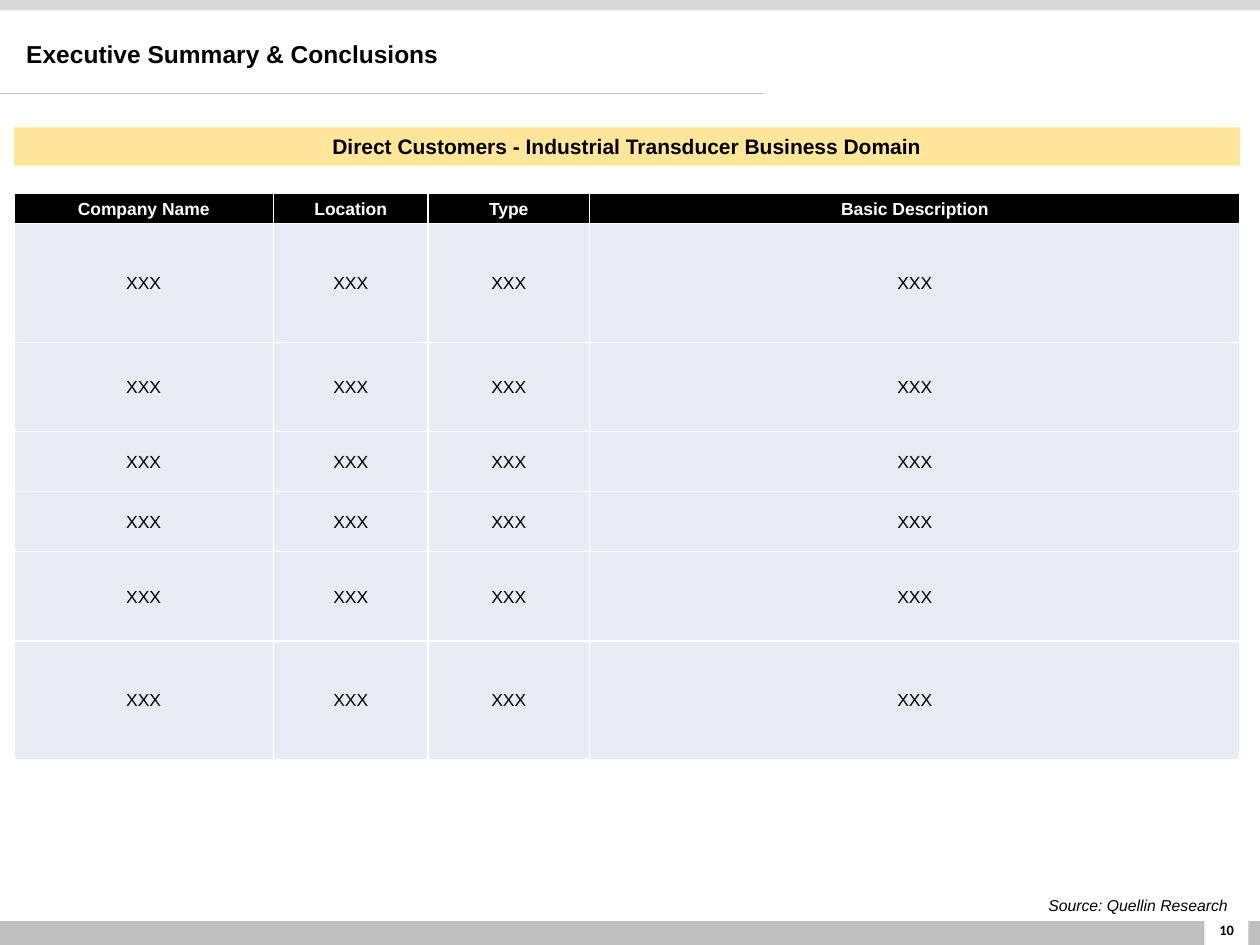
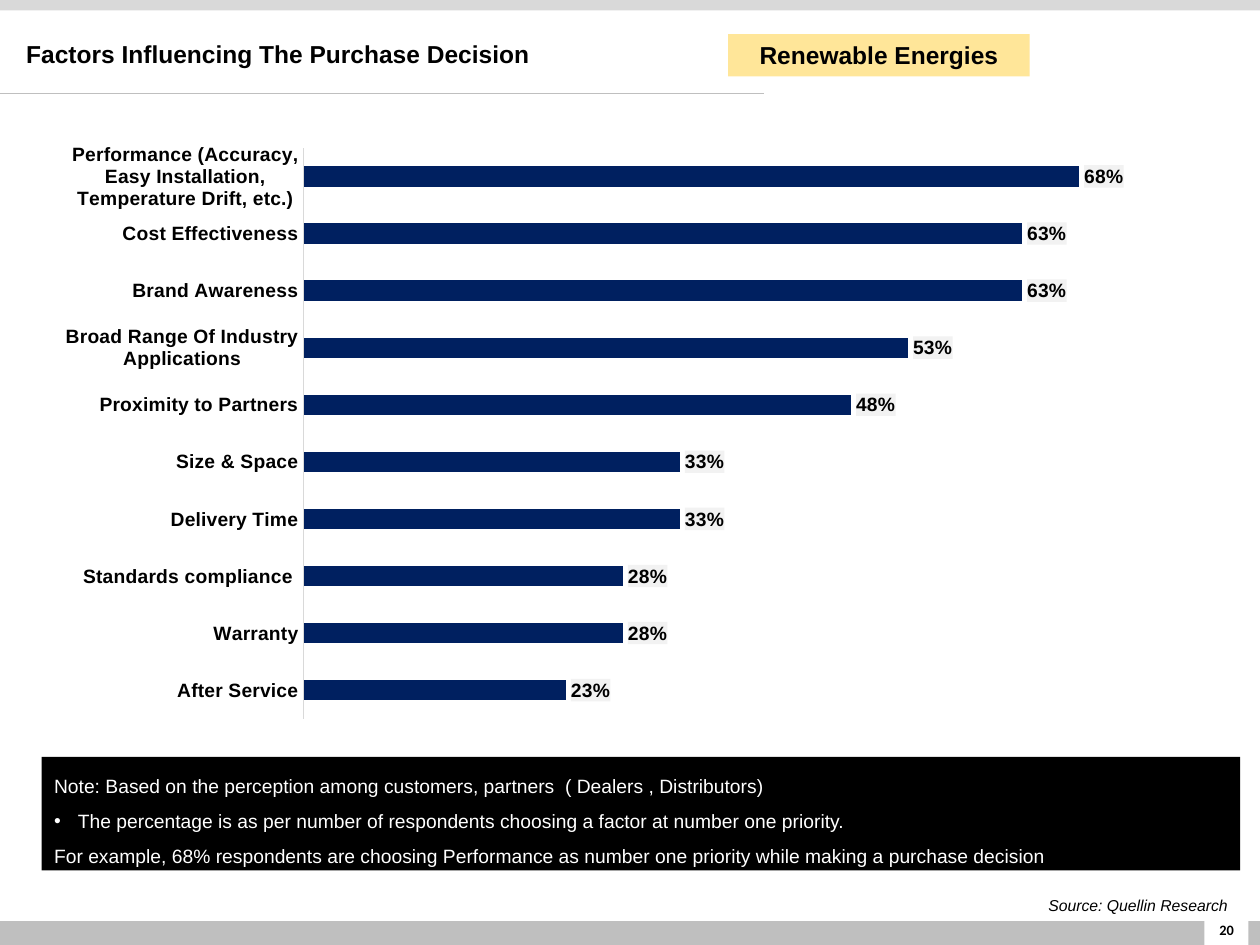
from lxml import etree
from pptx import Presentation
from pptx import util as u
from pptx.chart import data as chart_data
from pptx.dml import color
from pptx.enum import chart as chart_enum
from pptx.enum import shapes, text
from pptx.oxml import ns

ALIGN = text.PP_ALIGN
ANCHOR = text.MSO_ANCHOR

BLACK = "000000"
WHITE = "FFFFFF"
GREY = "BFBFBF"
LIGHT_GREY = "D9D9D9"
LABEL_GREY = "F2F2F2"
YELLOW = "FFE699"
NAVY = "002060"
CELL_BLUE = "E9EBF5"

PAGE = (0, 0, 25.4, 19.05)
LEFT = 0.28
RIGHT = 25

HEADINGS = ["Company Name", "Location", "Type", "Basic Description"]
COLUMN_WIDTHS = [5.23, 3.12, 3.25, 13.12]
ROW_HEIGHTS = [0.62, 2.39, 1.8, 1.21, 1.21, 1.8, 2.39]

FACTORS = [
    ("After Service", 0.23),
    ("Warranty", 0.28),
    ("Standards compliance ", 0.28),
    ("Delivery Time", 0.33),
    ("Size & Space", 0.33),
    ("Proximity to Partners", 0.48),
    ("Broad Range Of Industry Applications", 0.53),
    ("Brand Awareness", 0.63),
    ("Cost Effectiveness", 0.63),
    ("Performance (Accuracy, Easy Installation, Temperature Drift, etc.)", 0.68),
]

NOTE_LINES = [
    "Note: Based on the perception among customers, partners  ( Dealers , Distributors)",
    "The percentage is as per number of respondents choosing a factor at number one priority.",
    "For example, 68% respondents are choosing Performance as number one priority "
    "while making a purchase decision",
]
BULLET_LINE = 1


def rgb(hex_string):
    return color.RGBColor.from_string(hex_string)


def lengths(box):
    return [u.Cm(value) for value in box]


def add_child(parent, tag, **attributes):
    return etree.SubElement(parent, ns.qn(tag), attributes)


def add_solid_fill(parent, hex_string):
    add_child(add_child(parent, "a:solidFill"), "a:srgbClr", val=hex_string)


def style_font(font, size, hex_string=BLACK, bold=False, italic=False, name="Arial"):
    font.size = u.Pt(size)
    font.name = name
    font.bold = bold
    font.italic = italic
    font.color.rgb = rgb(hex_string)


def write(text_frame, content, size, align=ALIGN.LEFT, anchor=ANCHOR.TOP, **font_options):
    text_frame.text = content
    text_frame.word_wrap = True
    text_frame.vertical_anchor = anchor
    for paragraph in text_frame.paragraphs:
        paragraph.alignment = align
        for run in paragraph.runs:
            style_font(run.font, size, **font_options)


def add_band(slide, box, fill):
    band = slide.shapes.add_shape(shapes.MSO_SHAPE.RECTANGLE, *lengths(box))
    band.shadow.inherit = False
    band.fill.solid()
    band.fill.fore_color.rgb = rgb(fill)
    band.line.fill.background()
    return band


def add_text(slide, box, content, size, **options):
    text_box = slide.shapes.add_textbox(*lengths(box))
    write(text_box.text_frame, content, size, **options)
    return text_box


def add_banner(slide, box, content, size):
    banner = add_band(slide, box, YELLOW)
    write(banner.text_frame, content, size, align=ALIGN.CENTER, bold=True)


def add_header(slide, box, title):
    left, top, width, height = box
    add_band(slide, (left, top, width, 0.21), LIGHT_GREY)
    rule_top = u.Cm(top + height)
    rule = slide.shapes.add_connector(
        shapes.MSO_CONNECTOR.STRAIGHT, u.Cm(left), rule_top, u.Cm(left + 15.41), rule_top
    )
    rule.line.color.rgb = rgb(GREY)
    rule.line.width = u.Pt(0.5)
    add_child(rule._element.spPr, "a:effectLst")
    title_box = add_text(
        slide, (left + LEFT, top + 0.63, 17.6, 0.97), title, 14, anchor=ANCHOR.MIDDLE, bold=True
    )
    title_box.text_frame.paragraphs[0].line_spacing = 0.9


def add_footer(slide, box, number):
    left, top, width, height = box
    add_band(slide, (left, top + height - 0.48, width, 0.48), GREY)
    add_band(slide, (left + 24.28, top + 0.2, 0.89, height - 0.2), WHITE)
    number_box = add_text(
        slide, (left + 24.11, top + 0.33, 1.24, 1.02), str(number), 8.2,
        align=ALIGN.CENTER, anchor=ANCHOR.MIDDLE, bold=True, name="Calibri",
    )
    frame = number_box.text_frame
    frame.margin_left = frame.margin_right = u.Cm(0.18)
    frame.margin_top = frame.margin_bottom = u.Cm(0.1)
    source = add_text(
        slide, (left + 15.3, top, 9.7, 0.64), "Source: Quellin Research", 9,
        align=ALIGN.RIGHT, italic=True,
    )
    paragraph = source.text_frame.paragraphs[0]
    paragraph.line_spacing = 1.07
    paragraph.space_after = u.Pt(6)


def add_page(presentation, title, number):
    slide = presentation.slides.add_slide(presentation.slide_layouts[6])
    left, top, width, height = PAGE
    add_header(slide, (left, top, width, 1.88), title)
    add_footer(slide, (left, height - 1.14, width, 1.14), number)
    return slide


def style_cell(cell, content, fill, font_color, bold):
    write(
        cell.text_frame, content, 10, align=ALIGN.CENTER, hex_string=font_color, bold=bold
    )
    cell.vertical_anchor = ANCHOR.MIDDLE
    cell.margin_left = cell.margin_right = cell.margin_top = u.Cm(0.03)
    cell.margin_bottom = 0
    properties = cell._tc.get_or_add_tcPr()
    for side in ("L", "R", "T", "B"):
        add_solid_fill(add_child(properties, f"a:ln{side}", w=str(u.Pt(1))), WHITE)
    cell.fill.solid()
    cell.fill.fore_color.rgb = rgb(fill)


def add_customer_table(slide, box):
    frame = slide.shapes.add_table(len(ROW_HEIGHTS), len(HEADINGS), *lengths(box))
    table = frame.table
    table.horz_banding = False
    for column, width in zip(table.columns, COLUMN_WIDTHS):
        column.width = u.Cm(width)
    for row_index, (row, height) in enumerate(zip(table.rows, ROW_HEIGHTS)):
        row.height = u.Cm(height)
        for cell, heading in zip(row.cells, HEADINGS):
            if row_index == 0:
                style_cell(cell, heading, BLACK, WHITE, True)
            else:
                style_cell(cell, "XXX", CELL_BLUE, BLACK, False)


def add_factor_chart(slide, box):
    data = chart_data.CategoryChartData(number_format="0%")
    data.categories = [name for name, share in FACTORS]
    data.add_series("Series 1", [share for name, share in FACTORS])
    frame = slide.shapes.add_chart(
        chart_enum.XL_CHART_TYPE.BAR_CLUSTERED, *lengths(box), data
    )
    chart = frame.chart
    chart.has_legend = False
    chart.has_title = False
    style_font(chart.font, 10, name="Calibri")

    factor_axis = chart.category_axis
    factor_axis.major_tick_mark = chart_enum.XL_TICK_MARK.NONE
    factor_axis.format.line.color.rgb = rgb(LIGHT_GREY)
    factor_axis.format.line.width = u.Pt(0.75)
    style_font(factor_axis.tick_labels.font, 11, bold=True)

    share_axis = chart.value_axis
    share_axis.minimum_scale = 0
    share_axis.maximum_scale = 0.8
    share_axis.has_major_gridlines = False
    share_axis.visible = False

    plot = chart.plots[0]
    plot.gap_width = 182
    plot.vary_by_categories = False
    series = plot.series[0]
    series.format.fill.solid()
    series.format.fill.fore_color.rgb = rgb(NAVY)

    labels = series.data_labels
    labels.show_value = True
    labels.number_format = "0%"
    labels.number_format_is_linked = False
    labels.position = chart_enum.XL_LABEL_POSITION.OUTSIDE_END
    style_font(labels.font, 11, bold=True)
    label_shape = etree.Element(ns.qn("c:spPr"))
    add_solid_fill(label_shape, LABEL_GREY)
    labels._element.find(ns.qn("c:numFmt")).addnext(label_shape)


def add_note(slide, box):
    note = add_band(slide, box, BLACK)
    write(note.text_frame, "\n".join(NOTE_LINES), 11, hex_string=WHITE)
    for paragraph in note.text_frame.paragraphs:
        paragraph.line_spacing = 1.5
    properties = note.text_frame.paragraphs[BULLET_LINE]._p.get_or_add_pPr()
    indent = u.Cm(0.48)
    properties.set("marL", str(indent))
    properties.set("indent", str(-indent))
    add_child(properties, "a:buFont", typeface="Arial")
    add_child(properties, "a:buChar", char="•")


def build_customers_slide(presentation):
    slide = add_page(presentation, "Executive Summary & Conclusions", 10)
    width = RIGHT - LEFT
    add_customer_table(slide, (LEFT, 3.89, width, sum(ROW_HEIGHTS)))
    add_banner(
        slide, (LEFT, 2.57, width, 0.77),
        "Direct Customers - Industrial Transducer Business Domain", 12,
    )


def build_factors_slide(presentation):
    slide = add_page(presentation, "Factors Influencing The Purchase Decision", 20)
    left = 0.84
    width = RIGHT - left
    add_note(slide, (left, 15.26, width, 2.29))
    add_factor_chart(slide, (left, 2.64, width, 12.09))
    add_banner(slide, (14.68, 0.69, 6.08, 0.85), "Renewable Energies", 14)


def main():
    presentation = Presentation()
    presentation.slide_width = u.Cm(PAGE[2])
    presentation.slide_height = u.Cm(PAGE[3])
    build_customers_slide(presentation)
    build_factors_slide(presentation)
    presentation.save("out.pptx")


if __name__ == "__main__":
    main()
